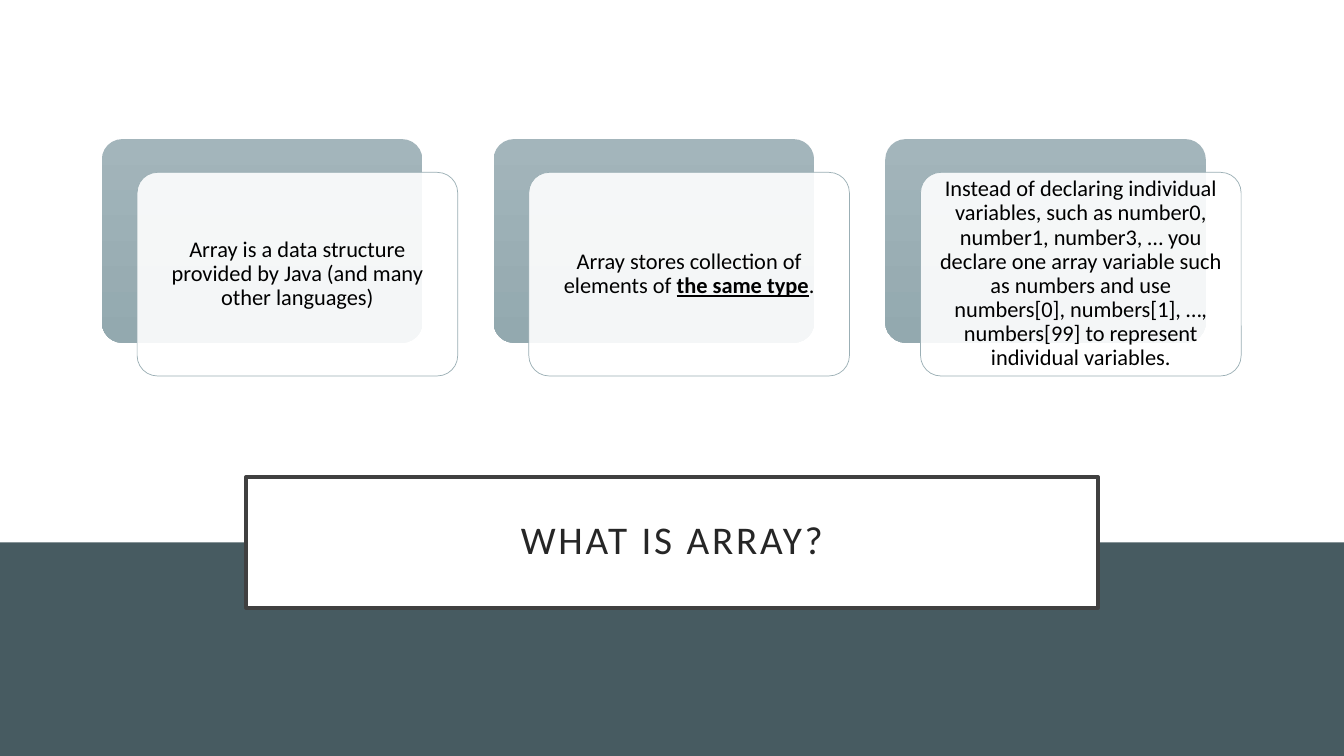
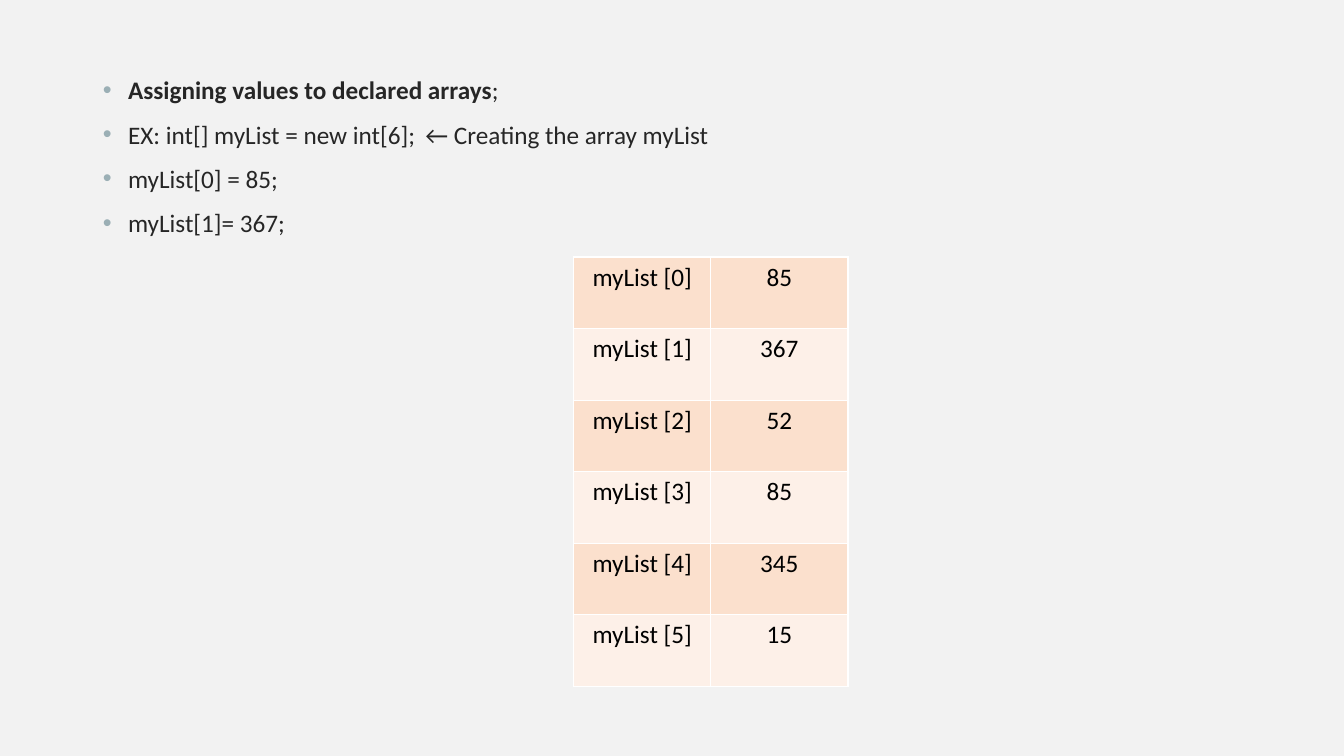
import pptx
import pptx.util
import pptx.dml.color
import pptx.enum.shapes
import pptx.enum.text
import pptx.oxml
import pptx.oxml.ns
import lxml.etree

Inches, Pt = pptx.util.Inches, pptx.util.Pt
SHAPE = pptx.enum.shapes.MSO_SHAPE
ANCHOR = pptx.enum.text.MSO_ANCHOR
CENTER = pptx.enum.text.PP_ALIGN.CENTER
qn = pptx.oxml.ns.qn

FONT = "Calibri"
COLORS = {
    "white": "FFFFFF", "pale": "F2F2F2", "band": "475B61", "frame": "404040",
    "text": "262626", "black": "000000", "accent": "9BAFB5",
    "card_top": "A3B5BB", "card_bottom": "93A9AF",
    "row_odd": "FBE0CD", "row_even": "FDF0E8",
}

TITLE = "WHAT IS ARRAY?"
# Each text is a list of (wording, emphasized) runs.
CARDS = [
    [("Array is a data structure provided by Java (and many other languages)", False)],
    [("Array stores collection of elements of ", False), ("the same type", True), (".", False)],
    [("Instead of declaring individual variables, such as number0, number1, number3, … "
      "you declare one array variable such as numbers and use numbers[0], numbers[1], …, "
      "numbers[99] to represent individual variables.", False)],
]
BULLETS = [
    [("Assigning values to declared arrays", True), (";", False)],
    [("EX: int[] myList = new int[6];\t← Creating the array myList", False)],
    [("myList[0] = 85;", False)],
    [("myList[1]= 367;", False)],
]
VALUES = [85, 367, 52, 85, 345, 15]


def rgb(name):
    return pptx.dml.color.RGBColor.from_string(COLORS[name])


def paint(fill, color):
    fill.solid()
    fill.fore_color.rgb = rgb(color)


def place(sp, left, top, width, height):
    sp.left, sp.top, sp.width, sp.height = map(Inches, (left, top, width, height))


def set_insets(tf, horizontal, vertical):
    tf.margin_left = tf.margin_right = Inches(horizontal)
    tf.margin_top = tf.margin_bottom = Inches(vertical)


def style(font, size, color):
    font.name, font.size = FONT, Pt(size)
    font.color.rgb = rgb(color)


def write_runs(p, runs, size, color, underline=False):
    """Fill a paragraph; emphasized runs are bold and optionally underlined."""
    for text, emphasized in runs:
        r = p.add_run()
        r.text = text
        style(r.font, size, color)
        if emphasized:
            r.font.bold = True
            r.font.underline = underline


def add_box(s, kind, left, top, width, height):
    sp = s.shapes.add_shape(kind, *map(Inches, (left, top, width, height)))
    sp.shadow.inherit = False
    sp.line.fill.background()
    return sp


def add_title(s, text):
    """Write the framed title and bring it in front of the band."""
    sp = s.shapes.title
    place(sp, 2.44, 4.73, 8.45, 1.3)
    paint(sp.fill, "white")
    sp.line.color.rgb = rgb("frame")
    sp.line.width = Pt(2.5)
    tf = sp.text_frame
    tf.text = text
    tf.vertical_anchor = ANCHOR.MIDDLE
    set_insets(tf, 0.2, 0.2)
    p = tf.paragraphs[0]
    p.alignment, p.line_spacing = CENTER, 0.9
    style(p.runs[0].font, 28, "text")
    p.runs[0].font._element.set("spc", "200")
    s.shapes._spTree.append(sp._element)


def add_card(s, left, top, runs):
    """Draw a gradient panel with a translucent text panel offset over it."""
    width, height = 3.18, 2.02
    back = add_box(s, SHAPE.ROUNDED_RECTANGLE, left, top, width, height)
    back.fill.gradient()
    back.fill.gradient_angle = 270
    for stop, color in zip(back.fill.gradient_stops, ("card_top", "card_bottom")):
        stop.color.rgb = rgb(color)

    front = add_box(s, SHAPE.ROUNDED_RECTANGLE, left + 0.35, top + 0.33, width, height)
    paint(front.fill, "white")
    clr = front._element.spPr.find(qn("a:solidFill")).find(qn("a:srgbClr"))
    lxml.etree.SubElement(clr, qn("a:alpha")).set("val", "90000")
    front.line.color.rgb = rgb("accent")
    front.line.width = Pt(0.5)
    for sp in (back, front):
        sp.adjustments[0] = 0.1

    tf = front.text_frame
    tf.word_wrap = True
    tf.vertical_anchor = ANCHOR.MIDDLE
    set_insets(tf, 0.13, 0.03)
    p = tf.paragraphs[0]
    p.alignment, p.line_spacing = CENTER, 0.9
    write_runs(p, runs, 16, "black", underline=True)


def format_bullet(p):
    """Set a hanging accent bullet and the tab stop for the remark."""
    p.space_before = Pt(10)
    pPr = p._p.get_or_add_pPr()
    pPr.set("marL", str(Inches(0.25)))
    pPr.set("indent", str(-Inches(0.25)))
    clr = lxml.etree.SubElement(pPr, qn("a:buClr"))
    lxml.etree.SubElement(clr, qn("a:srgbClr")).set("val", COLORS["accent"])
    lxml.etree.SubElement(pPr, qn("a:buFont")).set("typeface", "Arial")
    lxml.etree.SubElement(pPr, qn("a:buChar")).set("char", "•")
    tabs = lxml.etree.SubElement(pPr, qn("a:tabLst"))
    tab = lxml.etree.SubElement(tabs, qn("a:tab"))
    tab.set("pos", str(Inches(3.2)))
    tab.set("algn", "l")


def add_borders(cell):
    tcPr = cell._tc.get_or_add_tcPr()
    for i, side in enumerate(("lnL", "lnR", "lnT", "lnB")):
        ln = lxml.etree.Element(qn("a:" + side), w=str(Pt(1)))
        fill = lxml.etree.SubElement(ln, qn("a:solidFill"))
        lxml.etree.SubElement(fill, qn("a:srgbClr")).set("val", COLORS["white"])
        tcPr.insert(i, ln)


def add_value_table(s, values):
    row_height = 0.71
    frame = s.shapes.add_table(len(values), 2, Inches(5.69), Inches(2.55),
                               Inches(2.72), Inches(row_height * len(values)))
    table = frame.table
    table.first_row = table.horz_banding = False
    for i, value in enumerate(values):
        table.rows[i].height = Inches(row_height)
        for cell, text in zip(table.rows[i].cells, (f"myList [{i}]", str(value))):
            cell.text = text
            paint(cell.fill, "row_even" if i % 2 else "row_odd")
            add_borders(cell)
            p = cell.text_frame.paragraphs[0]
            p.alignment = CENTER
            style(p.runs[0].font, 18, "black")


def build_definition(prs):
    s = prs.slides.add_slide(prs.slide_layouts[5])
    paint(s.background.fill, "white")
    band = add_box(s, SHAPE.RECTANGLE, 0, 5.38, 13.33, 2.12)
    paint(band.fill, "band")
    add_title(s, TITLE)
    for i, runs in enumerate(CARDS):
        add_card(s, 1.01 + 3.885 * i, 1.38, runs)


def build_assignment(prs):
    s = prs.slides.add_slide(prs.slide_layouts[1])
    paint(s.background.fill, "pale")
    title = s.shapes.title._element
    title.getparent().remove(title)
    body = s.placeholders[1]
    place(body, 0.92, 0.69, 11.5, 6.06)
    tf = body.text_frame
    tf.vertical_anchor = ANCHOR.TOP
    for i, runs in enumerate(BULLETS):
        p = tf.add_paragraph() if i else tf.paragraphs[0]
        format_bullet(p)
        write_runs(p, runs, 18, "text")
    add_value_table(s, VALUES)


def main():
    prs = pptx.Presentation()
    prs.slide_width, prs.slide_height = Inches(13.33), Inches(7.5)
    build_definition(prs)
    build_assignment(prs)
    prs.save("out.pptx")


if __name__ == "__main__":
    main()
